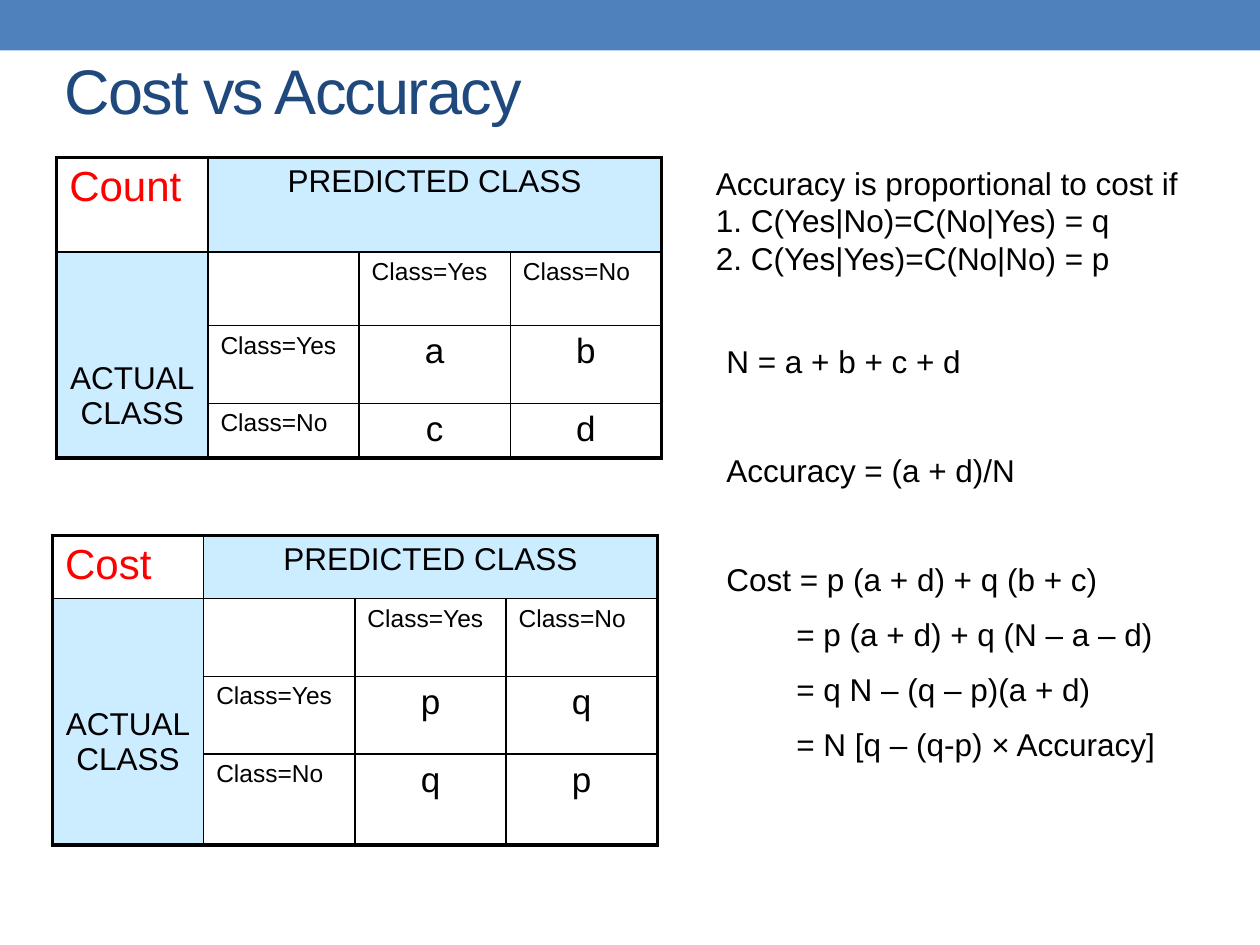
from lxml import etree
from pptx import Presentation
from pptx.dml.color import RGBColor
from pptx.enum.shapes import MSO_SHAPE
from pptx.enum.text import MSO_ANCHOR, PP_ALIGN
from pptx.oxml.ns import qn
from pptx.util import Pt

RECT = MSO_SHAPE.RECTANGLE
MIDDLE = MSO_ANCHOR.MIDDLE
LEFT, CENTER = PP_ALIGN.LEFT, PP_ALIGN.CENTER
FONT = "Arial"
COLORS = {"bar": "4F81BD", "title": "1F497D", "text": "000000",
          "label": "FF0000", "header": "CCECFF"}


def rgb(name):
    return RGBColor.from_string(COLORS[name])


def format_runs(p, size, color="text"):
    for r in p.runs:
        r.font.name = FONT
        r.font.size = Pt(size)
        r.font.color.rgb = rgb(color)


def add_text(s, box, lines, size, color="text"):
    sp = s.shapes.add_textbox(*map(Pt, box))
    tf = sp.text_frame
    tf.word_wrap = True
    for i, line in enumerate(lines):
        p = tf.paragraphs[0] if i == 0 else tf.add_paragraph()
        p.text = line
        format_runs(p, size, color)
    return tf


def add_header(s, box):
    x, y, w, h = box
    bar = s.shapes.add_shape(RECT, *map(Pt, (x, y, w, h)))
    bar.shadow.inherit = False
    bar.fill.solid()
    bar.fill.fore_color.rgb = rgb("bar")
    bar.line.fill.background()
    tf = add_text(s, (x + 30, y + h + 1.5, w - 68, 42),
                  ["Cost vs Accuracy"], 36, "title")
    tf.vertical_anchor = MIDDLE
    tf.paragraphs[0].runs[0].font._element.set("spc", "-100")


def set_borders(cell, row, col, rows, cols):
    outer = {"L": col == 0, "R": col + cell.span_width == cols,
             "T": row == 0, "B": row + cell.span_height == rows}
    tcPr = cell._tc.get_or_add_tcPr()
    for side, is_outer in outer.items():
        width = Pt(2.25 if is_outer else 1)
        ln = etree.SubElement(tcPr, qn(f"a:ln{side}"), w=str(width))
        fill = etree.SubElement(ln, qn("a:solidFill"))
        etree.SubElement(fill, qn("a:srgbClr"), val=COLORS["text"])


def fill_cell(cell, text, size, align=LEFT, color="text"):
    cell.text = text
    p = cell.text_frame.paragraphs[0]
    p.alignment = align
    format_runs(p, size, color)


def add_matrix(s, box, heights, label, values):
    x, y, w = box
    n = len(heights)
    frame = s.shapes.add_table(n, n, Pt(x), Pt(y), Pt(w), Pt(sum(heights)))
    table = frame.table
    table.first_row = table.horz_banding = False
    for col in table.columns:
        col.width = Pt(w / n)
    for row, height in zip(table.rows, heights):
        row.height = Pt(height)

    predicted, actual = table.cell(0, 1), table.cell(1, 0)
    predicted.merge(table.cell(0, n - 1))
    actual.merge(table.cell(n - 1, 0))
    for i in range(n):
        for j in range(n):
            cell = table.cell(i, j)
            set_borders(cell, i, j, n, n)
            if (i == 0) != (j == 0):
                cell.fill.solid()
                cell.fill.fore_color.rgb = rgb("header")
            else:
                cell.fill.background()

    fill_cell(table.cell(0, 0), label, 24, color="label")
    fill_cell(predicted, "PREDICTED CLASS", 18, CENTER)
    fill_cell(actual, "ACTUAL\vCLASS", 18, CENTER)
    actual.margin_top = Pt(62)
    for i, name in enumerate(("Class=Yes", "Class=No"), 2):
        fill_cell(table.cell(1, i), name, 14)
        fill_cell(table.cell(i, 1), name, 14)
        for j, value in enumerate(values[i - 2], 2):
            fill_cell(table.cell(i, j), value, 20, CENTER)


def add_conditions(s, box):
    add_text(s, box, ["Accuracy is proportional to cost if\v"
                      "1. C(Yes|No)=C(No|Yes) = q\v"
                      "2. C(Yes|Yes)=C(No|No) = p"], 18)


def add_derivation(s, box):
    lines = ["N = a + b + c + d", "Accuracy = (a + d)/N",
             "Cost = p (a + d) + q (b + c)", "= p (a + d) + q (N – a – d)",
             "= q N – (q – p)(a + d)", "= N [q – (q-p) × Accuracy]"]
    tf = add_text(s, box, lines, 18)
    for p in tf.paragraphs[1:]:
        if p.text.startswith("="):
            p.space_before = Pt(10)
            p._p.get_or_add_pPr().set("marL", str(Pt(40)))
        else:
            p.space_before = Pt(40.5)


def main():
    prs = Presentation()
    prs.slide_width, prs.slide_height = Pt(720), Pt(540)
    s = prs.slides.add_slide(prs.slide_layouts[6])
    add_header(s, (0, 0, 720, 28.8))
    add_matrix(s, (32.4, 90, 345.6), (54, 42, 44.5, 31), "Count", ("ab", "cd"))
    add_matrix(s, (30, 306, 345.6), (35.5, 44.5, 44.5, 52), "Cost", ("pq", "qp"))
    add_derivation(s, (408, 192, 282, 289))
    add_conditions(s, (402, 90, 294, 72))
    prs.save("out.pptx")


if __name__ == "__main__":
    main()
